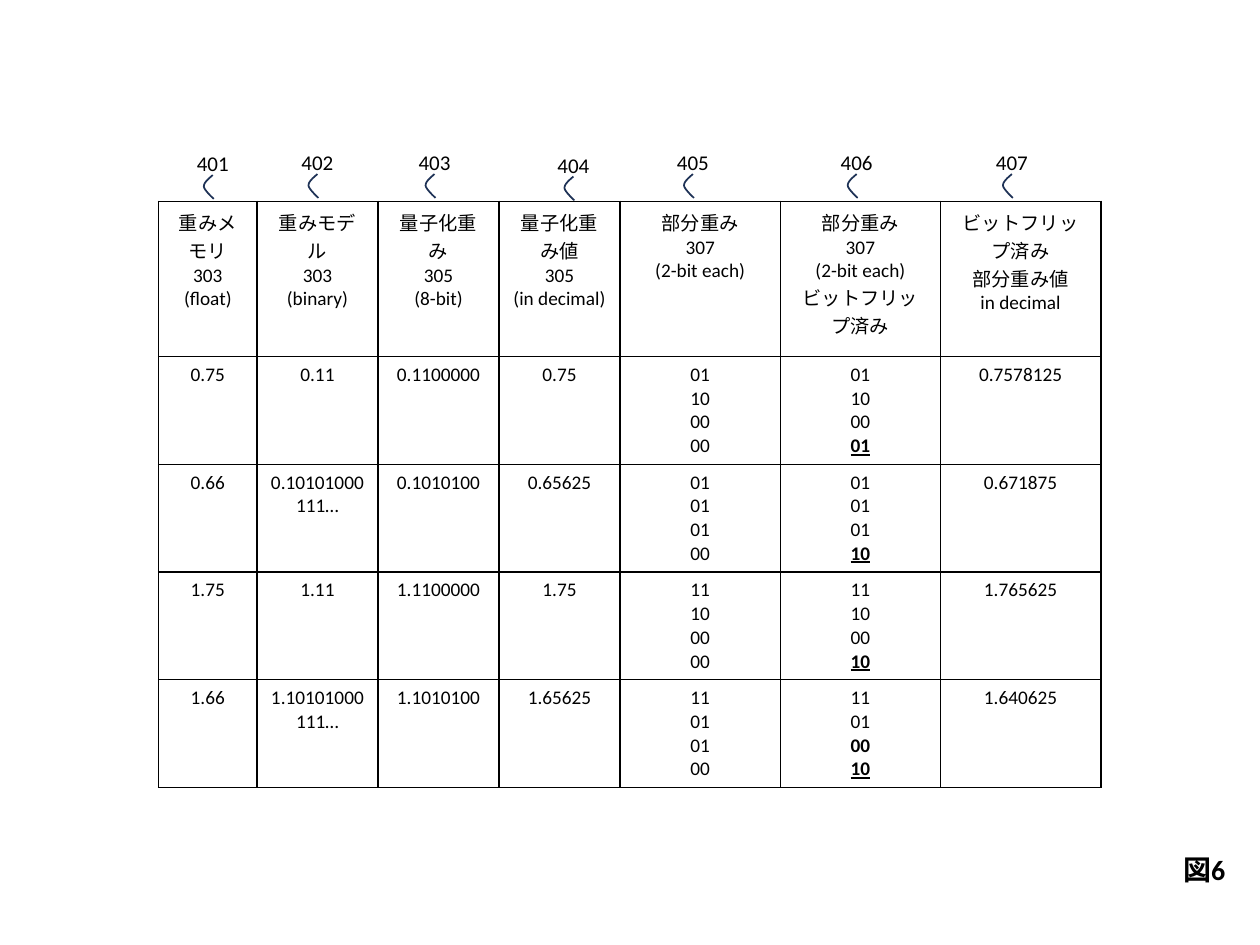
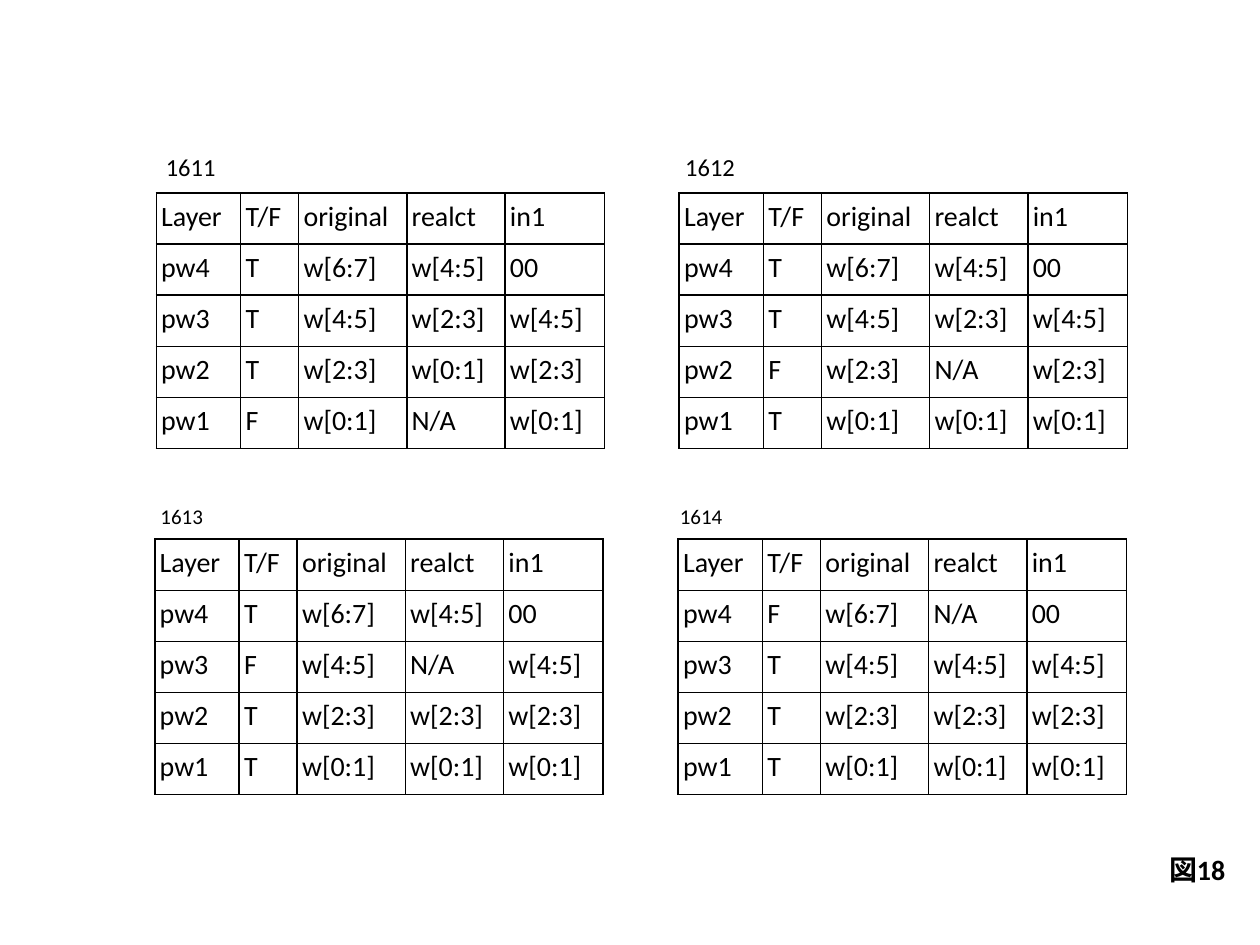
from collections import namedtuple

from lxml.etree import SubElement
from pptx import Presentation
from pptx.dml.color import RGBColor
from pptx.enum.text import MSO_ANCHOR, PP_ALIGN
from pptx.oxml.ns import qn
from pptx.util import Cm, Pt

Mark = namedtuple("Mark", "text underline")

FONT = "Calibri"
BLACK, WHITE, NAVY = "000000", "FFFFFF", "1E3256"

WEIGHT_ROWS = [
    [
        ["重みメモリ", "303", "(float)"],
        ["重みモデル", "303", "(binary)"],
        ["量子化重み", "305", "(8-bit)"],
        ["量子化重み値", "305", "(in decimal)"],
        ["部分重み", "307", "(2-bit each)"],
        ["部分重み", "307", "(2-bit each)", "ビットフリップ済み"],
        ["ビットフリップ済み", "部分重み値", "in decimal"],
    ],
    [["0.75"], ["0.11"], ["0.1100000"], ["0.75"],
     ["01", "10", "00", "00"], ["01", "10", "00", Mark("01", True)], ["0.7578125"]],
    [["0.66"], ["0.10101000111…"], ["0.1010100"], ["0.65625"],
     ["01", "01", "01", "00"], ["01", "01", "01", Mark("10", True)], ["0.671875"]],
    [["1.75"], ["1.11"], ["1.1100000"], ["1.75"],
     ["11", "10", "00", "00"], ["11", "10", "00", Mark("10", True)], ["1.765625"]],
    [["1.66"], ["1.10101000111…"], ["1.1010100"], ["1.65625"],
     ["11", "01", "01", "00"], ["11", "01", Mark("00", False), Mark("10", True)],
     ["1.640625"]],
]
WEIGHT_COLUMNS = [1.98] + [2.44] * 3 + [3.23] * 3
WEIGHT_HEIGHTS = [3.13] + [2.01] * 4
COLUMN_LABELS = [
    ("401", 3.68, 2.92), ("402", 5.79, 2.9), ("403", 8.15, 2.9), ("404", 10.95, 2.95),
    ("405", 13.36, 2.9), ("406", 16.66, 2.9), ("407", 19.79, 2.9),
]
LEADER_OFFSET = (0.43, 0.61)
LEADER_CURVES = [
    [(0.18, 0), (0.09, 0.08), (0, 0.15), (0, 0.23)],
    [(0, 0.23), (0, 0.3), (0.2, 0.48), (0.2, 0.48)],
]

LAYER_HEADER = ["Layer", "T/F", "original", "realct", "in1"]
LAYERS = [
    ("pw4", "w[6:7]", "00"),
    ("pw3", "w[4:5]", "w[4:5]"),
    ("pw2", "w[2:3]", "w[2:3]"),
    ("pw1", "w[0:1]", "w[0:1]"),
]
SKIPPED = "N/A"
LAYER_TABLES = [
    ("1611", 14, (2.97, 2.95), (3.15, 3.89), ["w[4:5]", "w[2:3]", "w[0:1]", SKIPPED]),
    ("1612", 14, (13.44, 2.95), (13.69, 3.89), ["w[4:5]", "w[2:3]", SKIPPED, "w[0:1]"]),
    ("1613", 12, (2.79, 10.03), (3.12, 10.87), ["w[4:5]", SKIPPED, "w[2:3]", "w[0:1]"]),
    ("1614", 12, (13.26, 10.03), (13.67, 10.87), [SKIPPED, "w[4:5]", "w[2:3]", "w[0:1]"]),
]
LAYER_COLUMNS = [1.7, 1.17, 2.18, 1.98, 2.01]
LAYER_HEIGHTS = [1.03] * 5


def color(value):
    return RGBColor.from_string(value)


def write(frame, lines, size, align, bold=False):
    for index, line in enumerate(lines):
        para = frame.paragraphs[0] if index == 0 else frame.add_paragraph()
        para.alignment = align
        marked = isinstance(line, Mark)
        span = para.add_run()
        span.text = line.text if marked else line
        span.font.name = FONT
        span.font.size = Pt(size)
        span.font.color.rgb = color(BLACK)
        span.font.bold = bold or marked
        span.font.underline = marked and line.underline


def add_label(page, text, left, top, width, height, size,
              align=PP_ALIGN.CENTER, anchor=MSO_ANCHOR.TOP, bold=False):
    box = page.shapes.add_textbox(Cm(left), Cm(top), Cm(width), Cm(height))
    box.text_frame.word_wrap = True
    box.text_frame.vertical_anchor = anchor
    write(box.text_frame, [text], size, align, bold)


def add_figure_number(page, text, width):
    right = 24.95
    add_label(page, text, right - width, 16.89, width, 1.27, 16,
              PP_ALIGN.RIGHT, MSO_ANCHOR.MIDDLE, True)


def add_borders(cell):
    properties = cell._tc.get_or_add_tcPr()
    for index, side in enumerate(("lnL", "lnR", "lnT", "lnB")):
        line = SubElement(properties, qn(f"a:{side}"), w=str(Pt(1)))
        fill = SubElement(line, qn("a:solidFill"))
        SubElement(fill, qn("a:srgbClr"), val=BLACK)
        properties.insert(index, line)


def add_grid(page, rows, left, top, widths, heights, size, align, margins=None):
    table = page.shapes.add_table(len(rows), len(widths), Cm(left), Cm(top),
                                  Cm(sum(widths)), Cm(sum(heights))).table
    table.first_row = False
    table.horz_banding = False
    for column, width in zip(table.columns, widths):
        column.width = Cm(width)
    for row, height, values in zip(table.rows, heights, rows):
        row.height = Cm(height)
        for cell, lines in zip(row.cells, values):
            cell.fill.solid()
            cell.fill.fore_color.rgb = color(WHITE)
            add_borders(cell)
            if margins:
                side, edge = margins
                cell.margin_left = cell.margin_right = Cm(side)
                cell.margin_top = cell.margin_bottom = Cm(edge)
            write(cell.text_frame, lines, size, align)


def curve_points(controls, steps=8):
    for step in range(steps + 1):
        t = step / steps
        factors = ((1 - t) ** 3, 3 * t * (1 - t) ** 2, 3 * t ** 2 * (1 - t), t ** 3)
        yield tuple(sum(f * point[axis] for f, point in zip(factors, controls))
                    for axis in (0, 1))


def add_leader(page, left, top):
    points = [(Cm(left + x), Cm(top + y))
              for controls in LEADER_CURVES for x, y in curve_points(controls)]
    builder = page.shapes.build_freeform(*points[0])
    builder.add_line_segments(points[1:], close=False)
    leader = builder.convert_to_shape()
    leader.shadow.inherit = False
    leader.fill.background()
    leader.line.color.rgb = color(NAVY)
    leader.line.width = Pt(1)


def build_weight_page(page):
    add_grid(page, WEIGHT_ROWS, 3.2, 4.06, WEIGHT_COLUMNS, WEIGHT_HEIGHTS,
             11, PP_ALIGN.CENTER)
    for text, left, top in COLUMN_LABELS:
        add_label(page, text, left, top, 1.22, 0.76, 12)
        add_leader(page, left + LEADER_OFFSET[0], top + LEADER_OFFSET[1])
    add_figure_number(page, "図6", 1.6)


def build_layer_page(page):
    for name, size, label_at, table_at, selections in LAYER_TABLES:
        rows = [[[title] for title in LAYER_HEADER]]
        for (layer, source, first_input), selected in zip(LAYERS, selections):
            flag = "F" if selected == SKIPPED else "T"
            rows.append([[text] for text in (layer, flag, source, selected, first_input)])
        add_grid(page, rows, *table_at, LAYER_COLUMNS, LAYER_HEIGHTS,
                 16, PP_ALIGN.LEFT, (0.1, 0.13))
        add_label(page, name, *label_at, 1.75, 0.8, size)
    add_figure_number(page, "図18", 1.9)


def main():
    deck = Presentation()
    deck.slide_width, deck.slide_height = Cm(25.4), Cm(19.05)
    for build in (build_weight_page, build_layer_page):
        build(deck.slides.add_slide(deck.slide_layouts[6]))
    deck.save("out.pptx")


if __name__ == "__main__":
    main()
